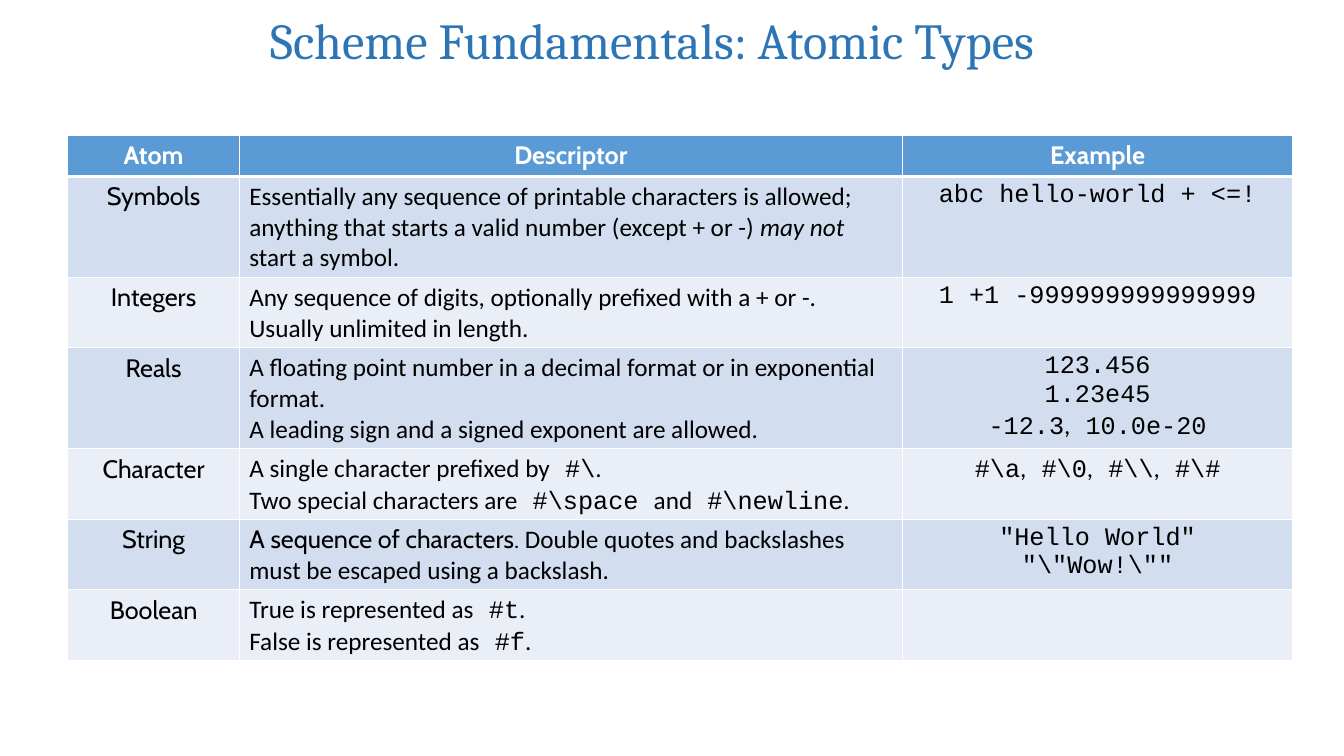
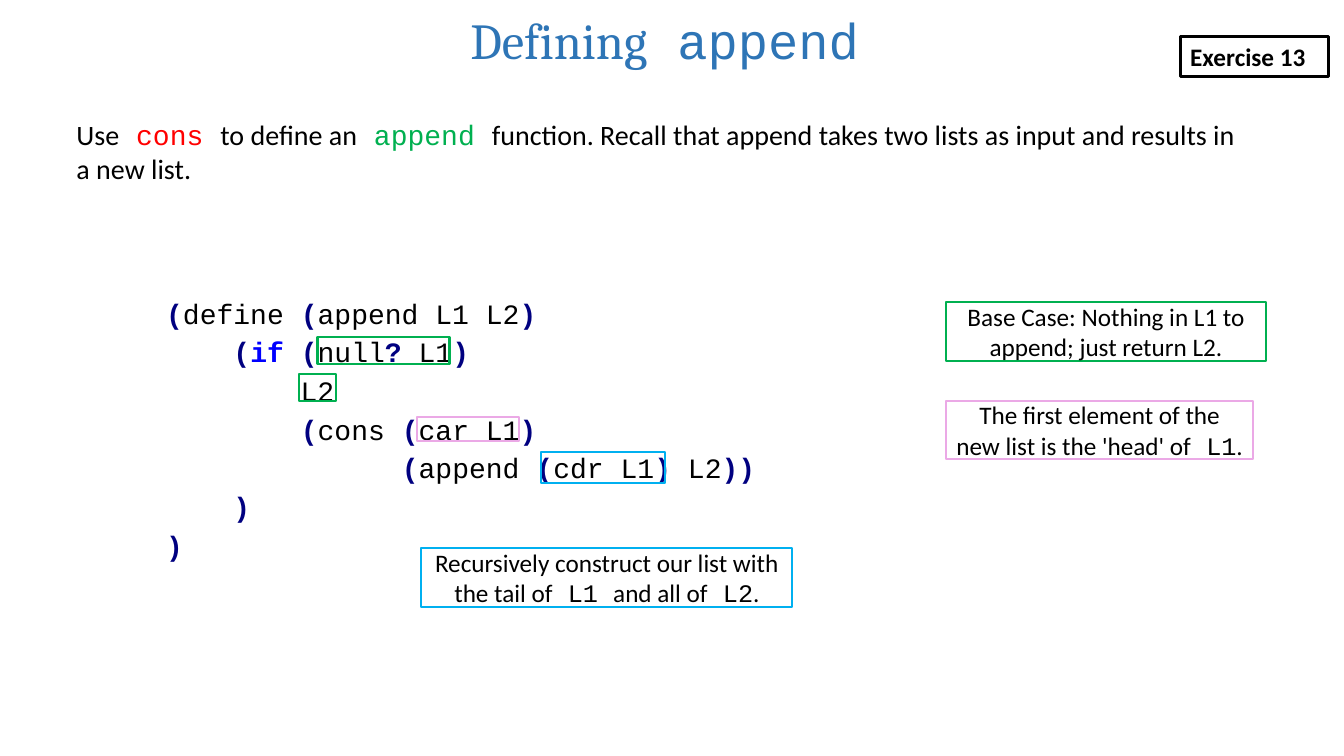
from dataclasses import dataclass
from itertools import groupby
from typing import NamedTuple

from lxml.etree import SubElement
from pptx import Presentation
from pptx.dml.color import RGBColor
from pptx.enum.shapes import MSO_SHAPE as Shape
from pptx.enum.text import MSO_ANCHOR as Anchor, MSO_AUTO_SIZE as AutoSize, PP_ALIGN as Align
from pptx.oxml.ns import qn
from pptx.util import Pt

BODY, LABEL, TITLE, MONO = "Calibri", "Cabin", "Cambria", "Courier New"
BLACK, WHITE, TITLE_BLUE = "000000", "FFFFFF", "2E75B6"
HEADER, BANDS = "5B9BD5", ("D2DEEF", "EAEFF7")
NAVY, KEYWORD, RED = "000080", "0000FF", "FF0000"
GREEN, PINK, SKY = "00B050", "EBA9E6", "00B0F0"


class Box(NamedTuple):
    x: float
    y: float
    w: float
    h: float

    def emu(self) -> list:
        return [Pt(v) for v in self]


class Run(NamedTuple):
    text: str
    font: str | None = None
    color: str | None = None
    bold: bool | None = None
    italic: bool | None = None


@dataclass
class AtomRow:
    name: str
    descriptor: list
    example: list


@dataclass
class Callout:
    color: str
    box: Box
    text: str
    marks: list[Box]


ATOMS = [
    AtomRow("Symbols",
            [["Essentially any sequence of printable characters is allowed; "
              "anything that starts a valid number (except + or -) ",
              Run("may not ", italic=True), "start a symbol."]],
            ["`abc hello-world + <=!`"]),
    AtomRow("Integers",
            ["Any sequence of digits, optionally prefixed with a + or -. "
             "Usually unlimited in length."],
            ["`1 +1 -999999999999999`"]),
    AtomRow("Reals",
            ["A floating point number in a decimal format or in exponential format.",
             "A leading sign and a signed exponent are allowed."],
            ["`123.456`", "`1.23e45`", "`-12.3`,` 10.0e-20`"]),
    AtomRow("Character",
            [r"A single character prefixed by` #\`.",
             r"Two special characters are` #\space `and` #\newline`."],
            [r"`#\a`,` #\0`,` #\\`,` #\#`"]),
    AtomRow("String",
            [[Run("A sequence of characters.", LABEL),
              " Double quotes and backslashes must be escaped using a backslash."]],
            ['`"Hello World"`', r'`"\"Wow!\""`']),
    AtomRow("Boolean",
            ["True is represented as` #t`.", "False is represented as` #f`."], []),
]

CODE = """\
(define (append L1 L2)
    (if (null? L1)
        L2
        (cons (car L1)
              (append (cdr L1) L2))
    )
)"""

CALLOUTS = [
    Callout(SKY, Box(301, 391.7, 265, 41.8),
            "Recursively construct our list with the tail of` L1 `and all of` L2`.",
            [Box(386.6, 322.6, 88.6, 22.3)]),
    Callout(PINK, Box(676, 286.6, 218.9, 41),
            "The first element of the new list is the 'head' of` L1`.",
            [Box(298, 298, 72.7, 17.3)]),
    Callout(GREEN, Box(676, 216, 228.2, 41.8),
            "Base Case: Nothing in L1 to append; just return L2.",
            [Box(226.8, 240.5, 94.3, 19.4), Box(213.8, 267.1, 26.6, 19.4)]),
]


def rgb(color: str) -> RGBColor:
    return RGBColor.from_string(color)


def to_runs(para) -> list[Run]:
    """Turn a string, a run or a list of them into runs; backticks mark code."""
    if isinstance(para, Run):
        return [para]
    if isinstance(para, str):
        return [Run(t, MONO if i % 2 else None)
                for i, t in enumerate(para.split("`")) if t]
    return [r for part in para for r in to_runs(part)]


def write(tf, paras: list, *, size: float = 18, font: str = BODY, color: str = BLACK,
          bold: bool = False, align=Align.LEFT, spacing: float | None = None) -> None:
    for i, para in enumerate(paras):
        p = tf.add_paragraph() if i else tf.paragraphs[0]
        p.alignment = align
        if spacing:
            p.line_spacing = spacing
        for run in to_runs(para):
            r = p.add_run()
            r.text = run.text
            f = r.font
            f.size, f.name = Pt(size), run.font or font
            f.bold = bold if run.bold is None else run.bold
            f.italic = run.italic
            f.color.rgb = rgb(run.color or color)


def add_text(s, box: Box, paras: list, *, anchor=Anchor.TOP, **fmt) -> None:
    tf = s.shapes.add_textbox(*box.emu()).text_frame
    tf.word_wrap, tf.vertical_anchor = True, anchor
    write(tf, paras, **fmt)


def add_frame(shapes, box: Box, color: str, width: float = 1.5):
    """Add an outlined rectangle without fill and return its text frame."""
    sp = shapes.add_shape(Shape.RECTANGLE, *box.emu())
    sp.shadow.inherit = False
    sp.fill.background()
    sp.line.color.rgb, sp.line.width = rgb(color), Pt(width)
    tf = sp.text_frame
    tf.word_wrap, tf.vertical_anchor = True, Anchor.MIDDLE
    return tf


def add_slide(prs, title: str, title_width: float):
    s = prs.slides.add_slide(prs.slide_layouts[6])
    add_text(s, Box(37.4, 5.8, title_width, 44.6), [title], anchor=Anchor.MIDDLE,
             size=36, font=TITLE, color=TITLE_BLUE, align=Align.CENTER)
    return s


def style_cell(cell, fill: str, bottom: float = 1, top: float = 1) -> None:
    tc_pr = cell._tc.get_or_add_tcPr()
    for side, width in (("L", 1), ("R", 1), ("T", top), ("B", bottom)):
        ln = SubElement(tc_pr, qn(f"a:ln{side}"), w=str(Pt(width)))
        SubElement(SubElement(ln, qn("a:solidFill")), qn("a:srgbClr"), val=WHITE)
    cell.fill.solid()
    cell.fill.fore_color.rgb = rgb(fill)


def add_atom_table(s) -> None:
    widths, row_height = (122.4, 473.8, 278.6), 29.2
    count = len(ATOMS) + 1
    box = Box(48.5, 96.8, sum(widths), row_height * count)
    table = s.shapes.add_table(count, len(widths), *box.emu()).table
    for column, width in zip(table.columns, widths):
        column.width = Pt(width)
    for row in table.rows:
        row.height = Pt(row_height)
    for cell, heading in zip(table.rows[0].cells, ("Atom", "Descriptor", "Example")):
        style_cell(cell, HEADER, bottom=3)
        write(cell.text_frame, [heading], font=LABEL, color=WHITE, bold=True,
              align=Align.CENTER)
    for i, atom in enumerate(ATOMS):
        cells = list(table.rows[i + 1].cells)
        for cell in cells:
            style_cell(cell, BANDS[i % 2], top=1 if i else 3)
        name, descriptor, example = (cell.text_frame for cell in cells)
        write(name, [atom.name], font=LABEL, align=Align.CENTER)
        write(descriptor, atom.descriptor)
        write(example, atom.example, align=Align.CENTER)


def highlight(line: str) -> list[Run]:
    """Colour the punctuation and the keyword of a line of Scheme."""
    runs = []
    for is_mark, chars in groupby(line, lambda c: c in "()?"):
        text = "".join(chars)
        if is_mark:
            runs.append(Run(text, color=NAVY, bold=True))
        elif text == "if ":
            runs.append(Run(text, color=KEYWORD, bold=True))
        else:
            runs.append(Run(text))
    return runs


def add_callout(s, callout: Callout) -> None:
    shapes = s.shapes.add_group_shape().shapes
    write(add_frame(shapes, callout.box, callout.color), [callout.text],
          align=Align.CENTER)
    for mark in callout.marks:
        add_frame(shapes, mark, callout.color)


def add_append_exercise(s) -> None:
    tf = add_frame(s.shapes, Box(843.1, 25.9, 105.8, 29), BLACK, 2)
    tf.auto_size = AutoSize.SHAPE_TO_FIT_TEXT
    write(tf, ["Exercise 13"], bold=True)
    add_text(s, Box(111.6, 204.5, 480.2, 202.3),
             [highlight(line) for line in CODE.splitlines()],
             size=20, font=MONO, spacing=1.15)
    add_text(s, Box(47.5, 80.6, 848.2, 55.4),
             [["Use", Run(" cons ", MONO, RED), "to define an",
               Run(" append ", MONO, GREEN),
               "function. Recall that append takes two lists as input "
               "and results in a new list."]], size=20)
    for callout in CALLOUTS:
        add_callout(s, callout)


def main() -> None:
    prs = Presentation()
    prs.slide_width, prs.slide_height = Pt(960), Pt(540)
    add_atom_table(add_slide(prs, "Scheme Fundamentals: Atomic Types", 856.8))
    add_append_exercise(add_slide(prs, "Defining` append`", 874.8))
    prs.save("out.pptx")


if __name__ == "__main__":
    main()
